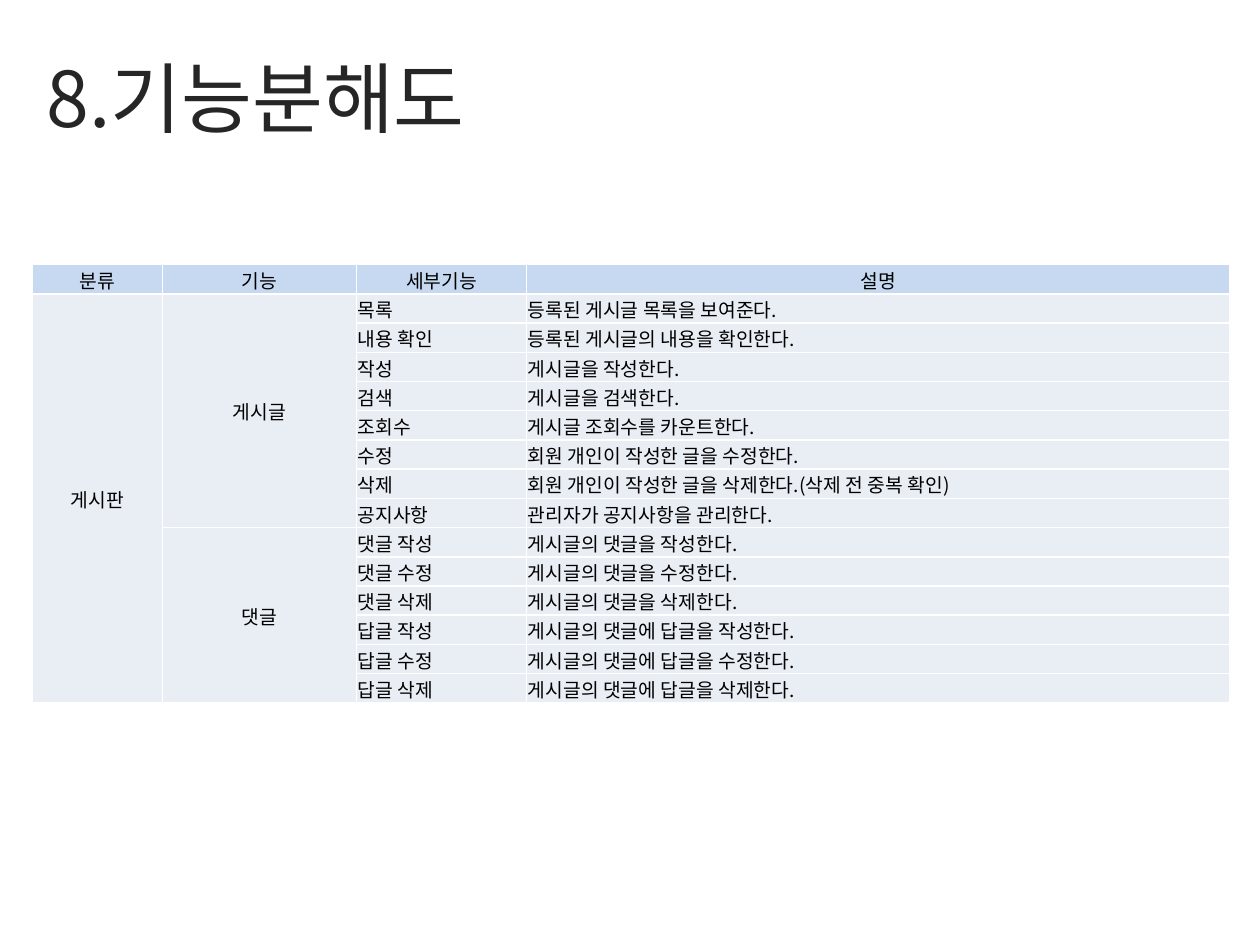
from lxml import etree
from pptx import Presentation
from pptx.dml.color import RGBColor
from pptx.enum.text import MSO_ANCHOR, PP_ALIGN
from pptx.oxml.ns import qn
from pptx.util import Inches, Pt

MIDDLE = MSO_ANCHOR.MIDDLE
CENTER = PP_ALIGN.CENTER
LEFT = PP_ALIGN.LEFT

FONT = "Noto Sans CJK KR"
COLORS = {
    "title": "262626",
    "text": "000000",
    "header": "C6D9F1",
    "body": "E9EDF4",
    "border": "FFFFFF",
}
CELL_FORMAT = {
    "vertical_anchor": MIDDLE,
    "margin_left": Inches(0.01),
    "margin_right": Inches(0.01),
    "margin_top": Inches(0.01),
    "margin_bottom": 0,
}
TITLE_FORMAT = {"word_wrap": True, "vertical_anchor": MIDDLE}

HEADERS = ["분류", "기능", "세부기능", "설명"]
COLUMN_WIDTHS = [1.03, 1.54, 1.35, 5.58]
TABLE_HEIGHT = 3.48
CATEGORY = "게시판"
FEATURES = {
    "게시글": [
        ("목록", "등록된 게시글 목록을 보여준다."),
        ("내용 확인", "등록된 게시글의 내용을 확인한다."),
        ("작성", "게시글을 작성한다."),
        ("검색", "게시글을 검색한다."),
        ("조회수", "게시글 조회수를 카운트한다."),
        ("수정", "회원 개인이 작성한 글을 수정한다."),
        ("삭제", "회원 개인이 작성한 글을 삭제한다.(삭제 전 중복 확인)"),
        ("공지사항", "관리자가 공지사항을 관리한다."),
    ],
    "댓글": [
        ("댓글 작성", "게시글의 댓글을 작성한다."),
        ("댓글 수정", "게시글의 댓글을 수정한다."),
        ("댓글 삭제", "게시글의 댓글을 삭제한다."),
        ("답글 작성", "게시글의 댓글에 답글을 작성한다."),
        ("답글 수정", "게시글의 댓글에 답글을 수정한다."),
        ("답글 삭제", "게시글의 댓글에 답글을 삭제한다."),
    ],
}


def apply_format(target, values):
    for name, value in values.items():
        setattr(target, name, value)


def write_text(frame, text, size, color, align=LEFT):
    paragraph = frame.paragraphs[0]
    paragraph.alignment = align
    run = paragraph.add_run()
    run.text = text
    apply_format(run.font, {"name": FONT, "size": Pt(size)})
    run.font.color.rgb = RGBColor.from_string(COLORS[color])
    east_asian = etree.SubElement(run.font._element, qn("a:ea"))
    east_asian.set("typeface", FONT)


def add_title(slide, text):
    title = slide.shapes.add_textbox(
        Inches(0.27), Inches(0.37), Inches(9.49), Inches(0.79)
    )
    apply_format(title.text_frame, TITLE_FORMAT)
    write_text(title.text_frame, text, 44, "title")


def add_borders(cell):
    properties = cell._tc.get_or_add_tcPr()
    for side in ("lnL", "lnR", "lnT", "lnB"):
        line = etree.SubElement(properties, qn(f"a:{side}"), w=str(Pt(1)))
        fill = etree.SubElement(line, qn("a:solidFill"))
        etree.SubElement(fill, qn("a:srgbClr"), val=COLORS["border"])


def style_cell(cell, fill):
    apply_format(cell, CELL_FORMAT)
    add_borders(cell)
    cell.fill.solid()
    cell.fill.fore_color.rgb = RGBColor.from_string(COLORS[fill])


def write_cell(cell, text, align=LEFT):
    write_text(cell.text_frame, text, 11, "text", align)


def write_group(table, column, first, last, text):
    table.cell(first, column).merge(table.cell(last, column))
    write_cell(table.cell(first, column), text, CENTER)


def add_feature_table(slide):
    row_count = 1 + sum(len(details) for details in FEATURES.values())
    table = slide.shapes.add_table(
        row_count, len(HEADERS), Inches(0.26), Inches(2.1),
        Inches(sum(COLUMN_WIDTHS)), Inches(TABLE_HEIGHT),
    ).table
    apply_format(table, {"first_row": False, "horz_banding": False})
    for column, width in zip(table.columns, COLUMN_WIDTHS):
        column.width = Inches(width)
    for index, row in enumerate(table.rows):
        for cell in row.cells:
            style_cell(cell, "body" if index else "header")

    for column, header in enumerate(HEADERS):
        write_cell(table.cell(0, column), header, CENTER)
    write_group(table, 0, 1, row_count - 1, CATEGORY)
    first = 1
    for feature, details in FEATURES.items():
        write_group(table, 1, first, first + len(details) - 1, feature)
        for row, detail in enumerate(details, first):
            for column, text in enumerate(detail, 2):
                write_cell(table.cell(row, column), text)
        first += len(details)


def main():
    presentation = Presentation()
    presentation.slide_width = Inches(10)
    presentation.slide_height = Inches(7.5)
    slide = presentation.slides.add_slide(presentation.slide_layouts[6])
    add_title(slide, "8.기능분해도")
    add_feature_table(slide)
    presentation.save("out.pptx")


if __name__ == "__main__":
    main()
